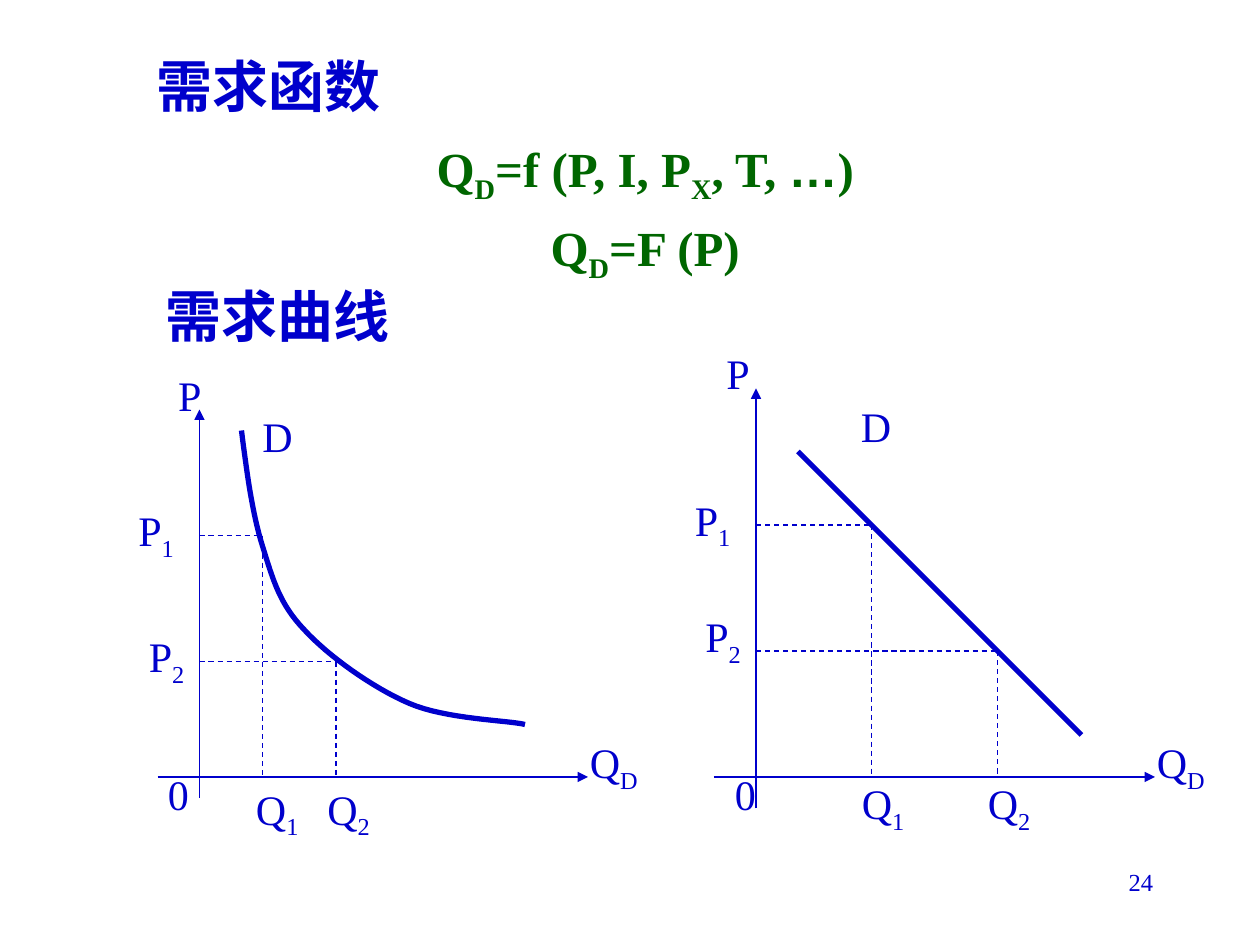
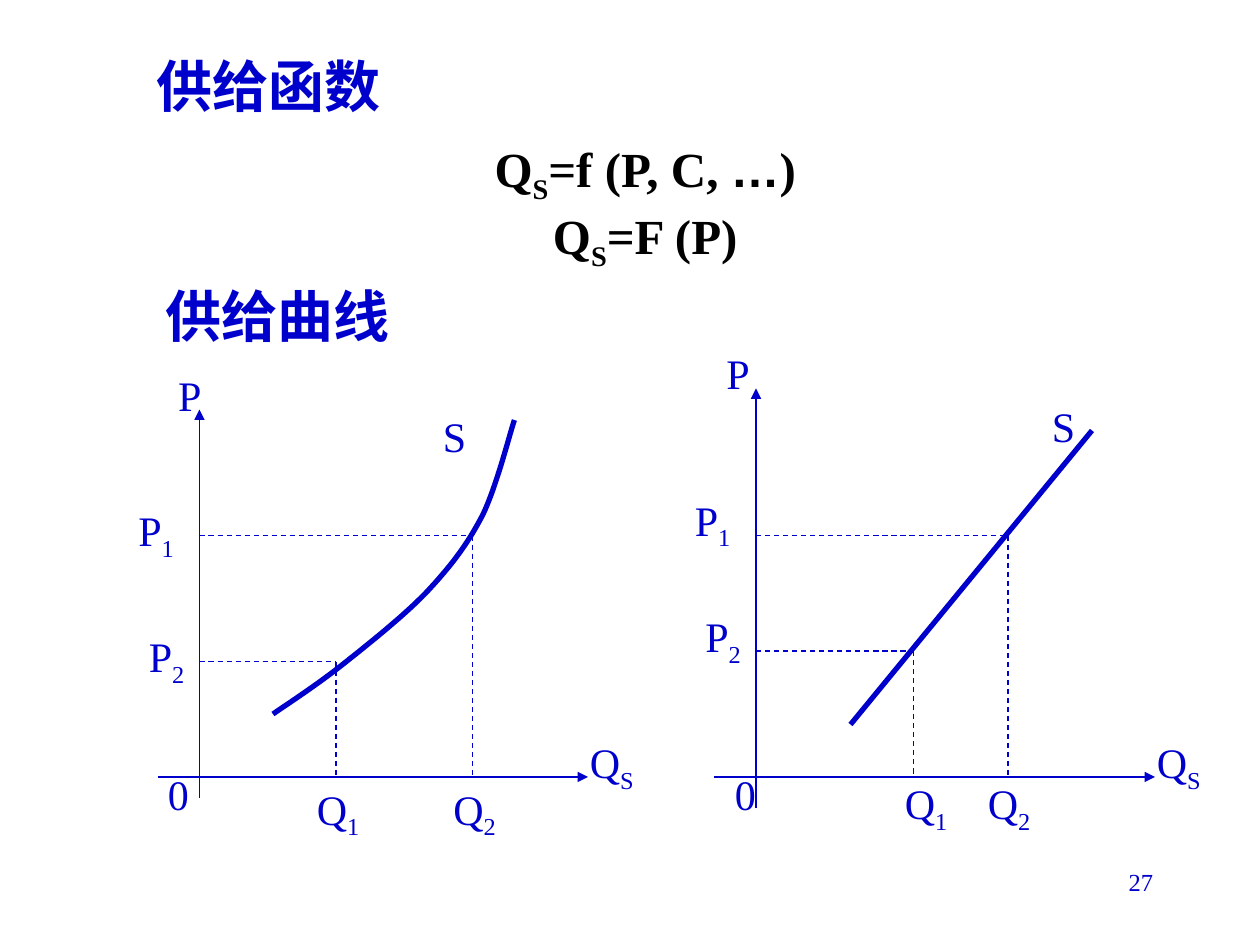
from dataclasses import dataclass

from lxml.etree import SubElement
from pptx import Presentation
from pptx.dml.color import RGBColor
from pptx.enum.dml import MSO_LINE
from pptx.enum.shapes import MSO_CONNECTOR
from pptx.enum.text import MSO_ANCHOR, MSO_AUTO_SIZE, PP_ALIGN
from pptx.oxml.ns import qn
from pptx.util import Inches, Pt

CELL = Inches(1) / 12
BLUE, GREEN, BLACK = "0000CC", "006600", "000000"
SERIF, SANS = "Times New Roman", "Arial"


@dataclass
class Axes:
    """Axis extents and label corners in cells, measured right and up from the origin."""
    origin: tuple
    right: float
    top: float
    bottom: float
    labels: dict
    quantity_y: float
    name_y: float


LEFT = Axes((19, 74), 37, 35, -2,
            {"P": (-3.2, 39.4), "0": (-4.2, 1.4), "P_1": (-7, 26.5), "P_2": (-6, 14.5)},
            0, 35.5)
RIGHT = Axes((72, 74), 38, 37, -3,
             {"P": (-4, 41.5), "0": (-3.2, 1.4), "P_1": (-7, 27.5), "P_2": (-6, 16.4)},
             0.5, 36.4)


@dataclass
class Graph:
    """One curve on its axes, with guide points and label columns."""
    axes: Axes
    curve: list
    guides: list
    quantity_xs: tuple
    name_x: float


DEMAND = [
    Graph(LEFT, [(4, 33), (4.5, 29.1), (5, 25.2), (6, 22), (7, 18.8), (7.6, 16.5), (10, 14),
                 (12.3, 11.5), (16.5, 8.5), (20, 7), (23.5, 5.5), (29.4, 5.4), (31, 5)],
          [(6, 23), (13, 11)], (4.2, 11), 4.8),
    Graph(RIGHT, [(4, 31), (31, 4)], [(11, 24), (23, 12)], (8.9, 20.9), 8.8),
]
SUPPLY = [
    Graph(LEFT, [(7, 6), (9.2, 7.5), (11.5, 9), (14, 11), (16.5, 13), (19.9, 15.7), (22, 18),
                 (24.2, 20.4), (25.6, 22.3), (27, 25), (28.3, 27.7), (29.5, 32.5), (30, 34)],
          [(26, 23), (13, 11)], (10, 23), 22),
    Graph(RIGHT, [(9, 5), (32, 33)], [(24, 23), (15, 12)], (13, 20.9), 27),
]


def rgb(color):
    """Turn a hex string into a colour."""
    return RGBColor.from_string(color)


def cells(*values):
    """Turn grid cells into lengths."""
    return [round(v * CELL) for v in values]


def write(p, text, size, color=BLUE, bold=False, align=PP_ALIGN.LEFT):
    """Fill a paragraph; the letter after each underscore is a subscript."""
    p.alignment = align
    f = p.font
    f.size, f.bold, f.name = Pt(size), bold, SERIF
    f.color.rgb = rgb(color)
    first, *rest = text.split("_")
    parts = [(first, False)]
    for part in rest:
        parts += [(part[0], True), (part[1:], False)]
    for part, lowered in parts:
        before, dots, after = part.partition("…")
        for piece in filter(None, (before, dots, after)):
            r = p.add_run()
            r.text = piece
            if piece == "…":
                r.font.name = SANS
            if lowered:
                r._r.get_or_add_rPr().set("baseline", "-25000")


def add_text(s, x, y, w, h, text, size, **style):
    """Add a one-paragraph text box placed in cells."""
    tf = s.shapes.add_textbox(*cells(x, y, w, h)).text_frame
    tf.word_wrap = True
    write(tf.paragraphs[0], text, size, **style)
    return tf


def add_line(s, start, end, width=0.75, dashed=False, arrow=False):
    """Draw a straight line between two grid points."""
    c = s.shapes.add_connector(MSO_CONNECTOR.STRAIGHT, *cells(*start, *end))
    c.line.color.rgb = rgb(BLUE)
    c.line.width = Pt(width)
    if dashed:
        c.line.dash_style = MSO_LINE.DASH
    if arrow:
        SubElement(c.line._get_or_add_ln(), qn("a:tailEnd"), type="triangle")
    SubElement(c._element.spPr, qn("a:effectLst"))


def bezier(points, steps=16):
    """Sample a chain of cubic segments."""
    result = [points[0]]
    for i in range(0, len(points) - 1, 3):
        for step in range(1, steps + 1):
            t = step / steps
            weights = (1 - t) ** 3, 3 * t * (1 - t) ** 2, 3 * t * t * (1 - t), t ** 3
            result.append(tuple(sum(w * q[k] for w, q in zip(weights, points[i:i + 4]))
                                for k in (0, 1)))
    return result


def add_curve(s, points):
    """Draw a smooth open curve through grid points."""
    start, *rest = [cells(*q) for q in bezier(points)]
    builder = s.shapes.build_freeform(*start)
    builder.add_line_segments(rest, close=False)
    sp = builder.convert_to_shape()
    sp.shadow.inherit = False
    sp.fill.background()
    sp.line.color.rgb = rgb(BLUE)
    sp.line.width = Pt(3)


def add_graph(s, graph, letter):
    """Draw axes, guides, curve and labels around the graph's origin."""
    axes = graph.axes
    x0, y0 = axes.origin

    def at(x, y):
        """Place a point relative to the origin."""
        return x0 + x, y0 - y

    add_line(s, at(0, axes.bottom), at(0, axes.top), arrow=True)
    add_line(s, at(-4, 0), at(axes.right, 0), arrow=True)
    for x, y in graph.guides:
        add_line(s, at(0, y), at(x, y), dashed=True)
        add_line(s, at(x, y), at(x, 0), dashed=True)
    points = [at(*q) for q in graph.curve]
    if len(points) == 2:
        add_line(s, *points, width=3)
    else:
        add_curve(s, points)
    q1, q2 = graph.quantity_xs
    labels = axes.labels | {
        "Q_1": (q1, axes.quantity_y),
        "Q_2": (q2, axes.quantity_y),
        "Q_" + letter: (axes.right - 1, 4.4),
        letter: (graph.name_x, axes.name_y),
    }
    for text, corner in labels.items():
        add_text(s, *at(*corner), 7.5 if "_" in text else 5.5, 6, text, 24)


def add_title(s, text):
    """Move and format the title placeholder."""
    title = s.shapes.title
    title.left, title.top, title.width, title.height = cells(13.7, 4.3, 95.5, 7.7)
    tf = title.text_frame
    tf.auto_size = MSO_AUTO_SIZE.NONE
    tf.vertical_anchor = MSO_ANCHOR.TOP
    write(tf.paragraphs[0], text, 32, bold=True)


def add_formulas(s, formulas, color, gap):
    """Centre the two formulas under the title."""
    style = dict(color=color, bold=True, align=PP_ALIGN.CENTER)
    tf = add_text(s, 13.7, 12.6, 95.5, 13.4, formulas[0], 28, **style)
    p = tf.add_paragraph()
    p.space_before = Pt(gap)
    write(p, formulas[1], 28, **style)


def add_market_slide(prs, name, letter, formulas, color, gap, graphs, number):
    """Build a slide with a function above and its two curves below."""
    s = prs.slides.add_slide(prs.slide_layouts[5])
    add_title(s, name + "函数")
    add_formulas(s, formulas, color, gap)
    add_text(s, 14.6, 26.2, 26, 7.7, name + "曲线", 32, bold=True)
    for graph in graphs:
        add_graph(s, graph, letter)
    add_text(s, 86, 82, 25, 6, number, 14, align=PP_ALIGN.RIGHT)


def main():
    """Build and save the slides."""
    prs = Presentation()
    prs.slide_width, prs.slide_height = Inches(10), Inches(7.5)
    add_market_slide(prs, "需求", "D", ("Q_D=f (P, I, P_X, T, …)", "Q_D=F (P)"),
                     GREEN, 7, DEMAND, "24")
    add_market_slide(prs, "供给", "S", ("Q_S=f (P, C, …)", "Q_S=F (P)"),
                     BLACK, 0, SUPPLY, "27")
    prs.save("out.pptx")


if __name__ == "__main__":
    main()
